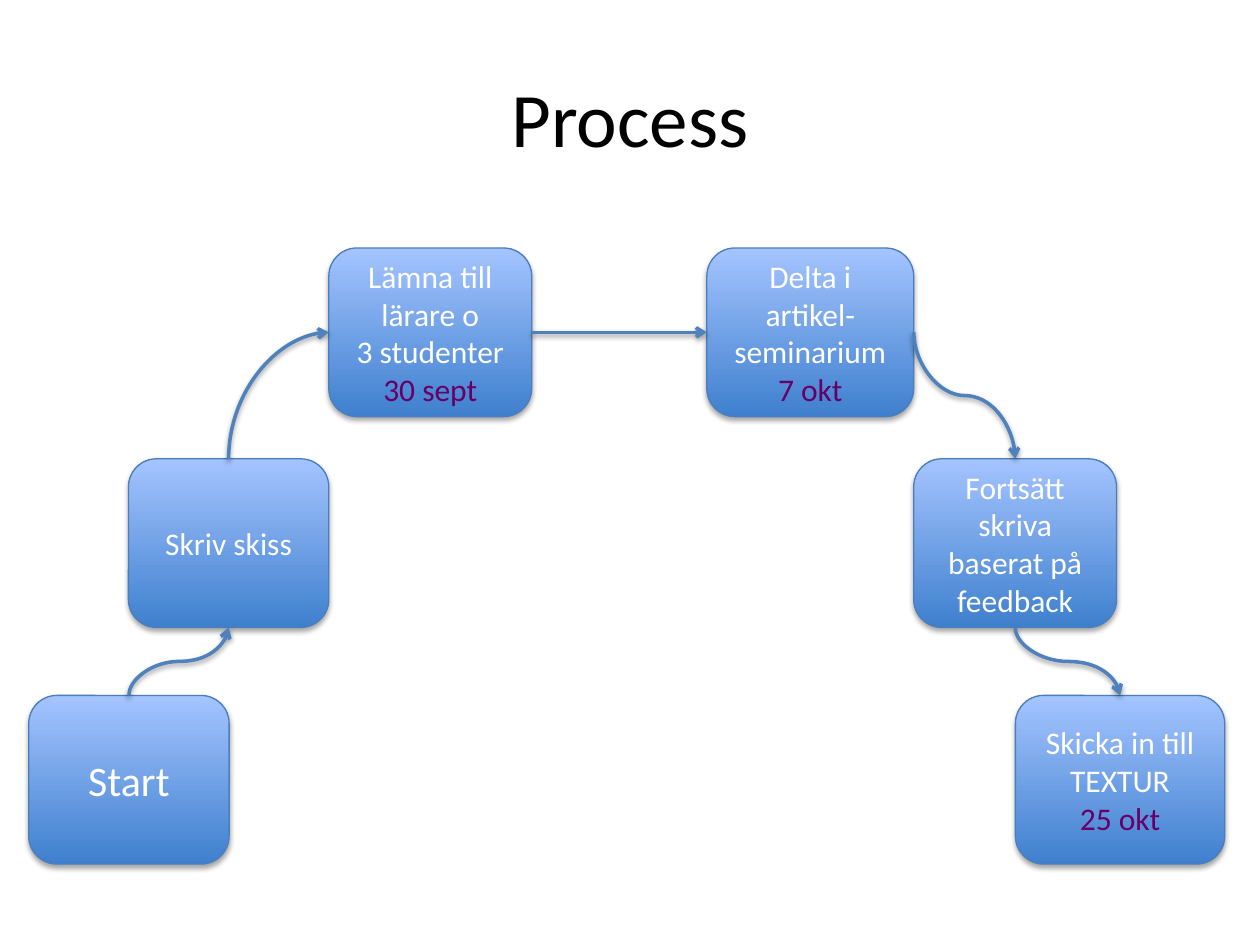
from lxml import etree
from pptx import Presentation
from pptx.dml.color import RGBColor
from pptx.enum.shapes import MSO_CONNECTOR, MSO_SHAPE
from pptx.enum.text import MSO_ANCHOR, PP_ALIGN
from pptx.oxml.ns import qn
from pptx.util import Cm, Pt

ROUNDED = MSO_SHAPE.ROUNDED_RECTANGLE
CURVE = MSO_CONNECTOR.CURVE
MIDDLE = MSO_ANCHOR.MIDDLE
CENTER = PP_ALIGN.CENTER

# Content: left, row, width, text size, paragraphs of (text, date)
TITLE = "Process"
STEPS = [
    (0.58, 2, 4.04, 24, [("Start", "")]),
    (2.59, 1, 4.04, 18, [("Skriv skiss", "")]),
    (6.63, 0, 4.09, 18, [("Lämna till", ""), ("lärare o", ""),
                         ("3 studenter", "30 sept")]),
    (14.25, 0, 4.17, 18, [("Delta i artikel-seminarium", "7 okt")]),
    (18.42, 1, 4.09, 18, [("Fortsätt skriva baserat på feedback", "")]),
    (20.47, 2, 4.22, 18, [("Skicka in till TEXTUR", ""), ("", "25 okt")]),
]
# Sides where each arrow leaves one step and enters the next
LINKS = [("top", "bottom"), ("top", "left"), ("right", "left"),
         ("right", "top"), ("bottom", "top")]
ROW_TOPS = [5.0, 9.25, 14.02]
STEP_HEIGHT = 3.4
FONT = "Calibri"
WHITE, BLACK, PURPLE = "FFFFFF", "000000", "660066"
DARK, LIGHT, OUTLINE, ARROW = "3F80CE", "A4C4FF", "4B7EBC", "4F81BD"


def color(hex_text):
    return RGBColor.from_string(hex_text)


def add_shadow(shape, distance, opacity):
    properties = shape._element.spPr
    effects = etree.SubElement(properties, qn("a:effectLst"))
    shadow = etree.SubElement(effects, qn("a:outerShdw"), blurRad=str(Pt(3.1)),
                              dist=str(Pt(distance)), dir="5400000", rotWithShape="0")
    black = etree.SubElement(shadow, qn("a:srgbClr"), val=BLACK)
    etree.SubElement(black, qn("a:alpha"), val=str(opacity * 1000))


def add_step(page, left, row, width, size, paragraphs):
    box = page.shapes.add_shape(ROUNDED, Cm(left), Cm(ROW_TOPS[row]),
                                Cm(width), Cm(STEP_HEIGHT))
    box.fill.gradient()
    box.fill.gradient_angle = 90
    for stop, shade, position in zip(box.fill.gradient_stops, (DARK, LIGHT), (0, 1)):
        stop.color.rgb = color(shade)
        stop.position = position
    box.line.color.rgb = color(OUTLINE)
    box.line.width = Pt(0.75)
    add_shadow(box, 1.8, 35)

    frame = box.text_frame
    frame.word_wrap = True
    frame.vertical_anchor = MIDDLE
    for index, (text, date) in enumerate(paragraphs):
        para = frame.add_paragraph() if index else frame.paragraphs[0]
        para.alignment = CENTER
        para.font.name = FONT
        para.font.size = Pt(size)
        para.font.color.rgb = color(WHITE)
        if text:
            span = para.add_run()
            span.text = text
            span.font.color.rgb = color(WHITE)
        if text and date:
            para.add_line_break()
        if date:
            span = para.add_run()
            span.text = date
            span.font.color.rgb = color(PURPLE)


def side_point(step, side):
    left, row, width = step[:3]
    across, down = {"top": (0.5, 0), "bottom": (0.5, 1),
                    "left": (0, 0.5), "right": (1, 0.5)}[side]
    return left + across * width, ROW_TOPS[row] + down * STEP_HEIGHT


def add_link(page, start, end, vertical, bend_once):
    (x1, y1), (x2, y2) = start, end
    rotation = 0
    if vertical:
        # A curve that sets off vertically is a horizontal one turned a quarter
        middle_x, middle_y = (x1 + x2) / 2, (y1 + y2) / 2
        half_width, half_height = abs(y2 - y1) / 2, (x2 - x1) / 2
        rising = y2 < y1
        rotation = 90 if rising else 270
        turn = 1 if rising else -1
        x1, x2 = middle_x + half_width, middle_x - half_width
        y1, y2 = middle_y + turn * half_height, middle_y - turn * half_height
    link = page.shapes.add_connector(CURVE, Cm(x1), Cm(y1), Cm(x2), Cm(y2))
    properties = link._element.spPr
    if rotation:
        properties.find(qn("a:xfrm")).set("rot", str(rotation * 60000))
    if bend_once:
        properties.find(qn("a:prstGeom")).set("prst", "curvedConnector2")
    link.line.color.rgb = color(ARROW)
    link.line.width = Pt(2)
    etree.SubElement(properties.find(qn("a:ln")), qn("a:tailEnd"), type="arrow")
    add_shadow(link, 1.6, 38)


deck = Presentation()
deck.slide_width, deck.slide_height = Cm(25.4), Cm(19.05)
page = deck.slides.add_slide(deck.slide_layouts[5])

# Title
title = page.shapes.title
title.left, title.top, title.width, title.height = Cm(1.27), Cm(0.76), Cm(22.86), Cm(3.18)
title.text_frame.text = TITLE
title.text_frame.vertical_anchor = MIDDLE
heading = title.text_frame.paragraphs[0]
heading.alignment = CENTER
heading.font.name = FONT
heading.font.size = Pt(44)
heading.font.color.rgb = color(BLACK)

# Steps
for step in STEPS:
    add_step(page, *step)

# Arrows between neighbouring steps
for step, following, (leaving, entering) in zip(STEPS, STEPS[1:], LINKS):
    add_link(page, side_point(step, leaving), side_point(following, entering),
             vertical=entering in ("top", "bottom") or leaving == "top",
             bend_once=(leaving, entering) == ("top", "left"))

deck.save("out.pptx")
